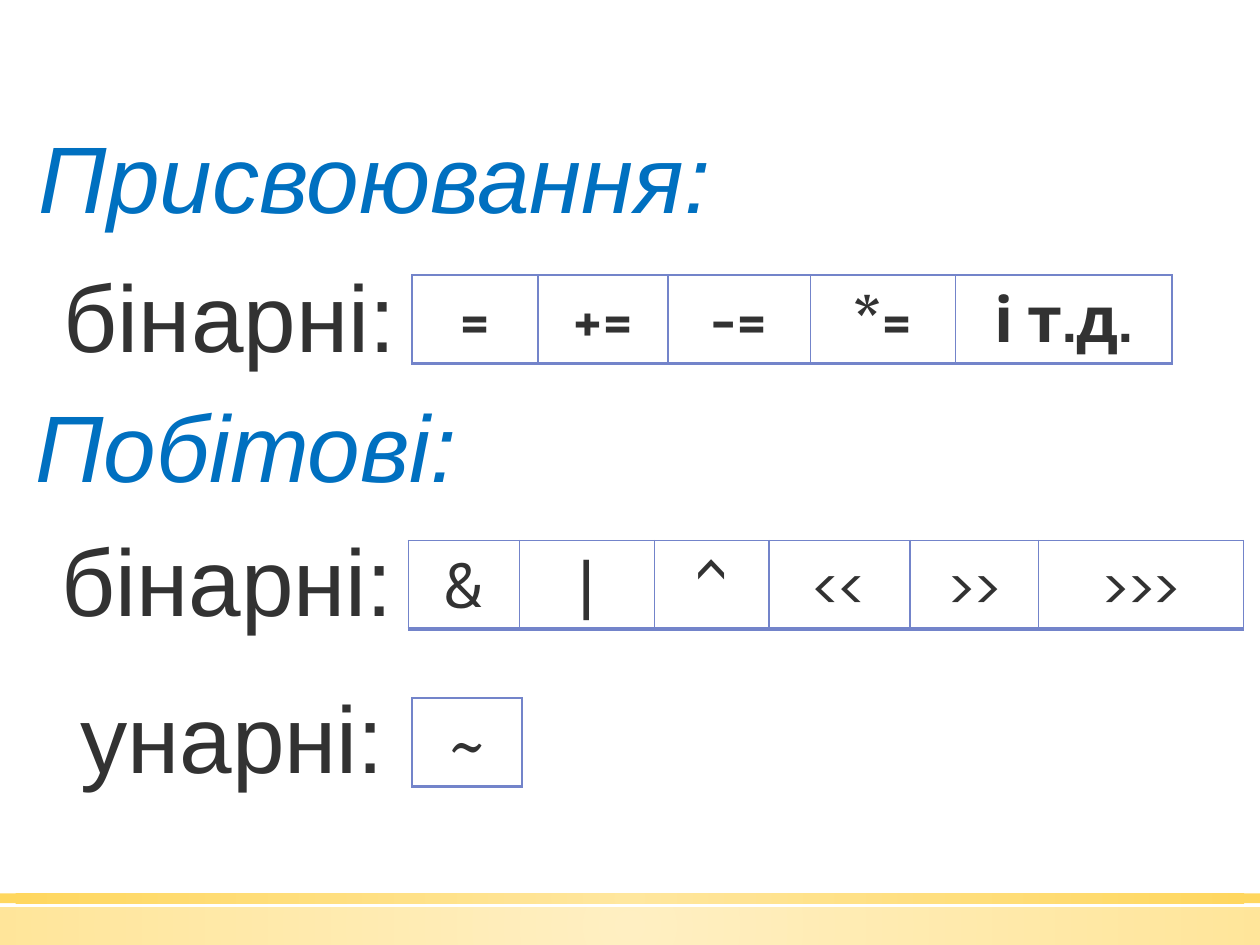
"""Build a slide listing assignment and bitwise operators."""
from lxml import etree
from pptx import Presentation
from pptx.dml.color import RGBColor as Rgb
from pptx.enum.shapes import MSO_SHAPE as Shape
from pptx.enum.text import MSO_AUTO_SIZE as Auto, PP_ALIGN as Align
from pptx.oxml import parse_xml
from pptx.oxml.ns import nsdecls, qn
from pptx.util import Cm, Pt

HUES = {"head": "0070C0", "text": "323232", "edge": "7384CA",
        "cell": "FFFFFF", "pale": "FFE186", "gold": "FFCD36"}
EDGES = {"lnL": 1, "lnR": 1, "lnT": 1, "lnB": 2}


def color(name):
    return Rgb.from_string(HUES[name])


def style(para, face, size, hue, bold=False, slant=False):
    font = para.font
    font.name, font.size = face, Pt(size)
    font.bold, font.italic = bold, slant
    font.color.rgb = color(hue)


def add_band(slide, top, high, alpha):
    band = slide.shapes.add_shape(Shape.RECTANGLE, 0, Cm(top), Cm(25.4), Cm(high))
    band.shadow.inherit = False
    band.line.fill.background()
    band.fill.background()
    stops = "".join(
        f'<a:gs pos="{pos}"><a:srgbClr val="{HUES[hue]}">'
        f'<a:alpha val="{alpha * 1000}"/></a:srgbClr></a:gs>'
        for pos, hue in ((0, "pale"), (100000, "gold")))
    grad = parse_xml(
        f'<a:gradFill {nsdecls("a")} rotWithShape="1"><a:gsLst>{stops}</a:gsLst>'
        '<a:path path="circle"><a:fillToRect l="50000" t="50000" r="50000" '
        'b="50000"/></a:path></a:gradFill>')
    props = band.element.spPr
    props.replace(props.find(qn("a:noFill")), grad)


def add_text(slide, text, left, top, wide, hue, slant=False):
    box = slide.shapes.add_textbox(Cm(left), Cm(top), Cm(wide), Cm(2.11))
    frame = box.text_frame
    frame.word_wrap = True
    frame.auto_size = Auto.SHAPE_TO_FIT_TEXT
    para = frame.paragraphs[0]
    para.text = text
    para.line_spacing = 0.8
    style(para, "Arial", 54, hue, slant=slant)


def add_head(slide, text, left, top):
    add_text(slide, text, left, top, 14.58, "head", True)


def add_label(slide, text, left, top):
    add_text(slide, text, left, top, 7.57, "text")


def add_edges(cell):
    props = cell._tc.get_or_add_tcPr()
    for spot, (tag, width) in enumerate(EDGES.items()):
        line = etree.Element(qn(f"a:{tag}"), w=str(Pt(width)))
        fill = etree.SubElement(line, qn("a:solidFill"))
        etree.SubElement(fill, qn("a:srgbClr"), val=HUES["edge"])
        props.insert(spot, line)


def add_row(slide, signs, left, top, widths, face="Cabin", bold=False):
    table = slide.shapes.add_table(1, len(signs), Cm(left), Cm(top),
                                   Cm(sum(widths)), Cm(1.78)).table
    table.first_row = table.horz_banding = False
    for col, (sign, width) in enumerate(zip(signs, widths)):
        table.columns[col].width = Cm(width)
        cell = table.cell(0, col)
        cell.fill.solid()
        cell.fill.fore_color.rgb = color("cell")
        add_edges(cell)
        para = cell.text_frame.paragraphs[0]
        para.text = sign
        para.alignment = Align.CENTER
        style(para, face, 36, "text", bold)


def main():
    deck = Presentation()
    deck.slide_width, deck.slide_height = Cm(25.4), Cm(19.05)
    slide = deck.slides.add_slide(deck.slide_layouts[6])
    add_band(slide, 18.29, 0.76, 50)
    add_band(slide, 18.01, 0.2, 80)

    add_head(slide, "Присвоювання:", 0.53, 2.72)
    add_row(slide, ["=", "+=", "-=", "*=", "і т.д."], 8.31, 5.54,
            [2.54, 2.62, 2.87, 2.92, 4.37], bold=True)
    add_label(slide, "бінарні:", 1.04, 5.51)

    add_head(slide, "Побітові:", 0.46, 8.13)
    add_row(slide, ["&", "|", "^", "<<", ">>", ">>>"], 8.23, 10.9,
            [2.24, 2.72, 2.31, 2.84, 2.59, 4.14])
    add_label(slide, "бінарні:", 0.99, 10.85)
    add_row(slide, ["~"], 8.31, 14.07, [2.21], "Vollkorn", True)
    add_label(slide, "унарні:", 1.37, 14)
    deck.save("out.pptx")


if __name__ == "__main__":
    main()
